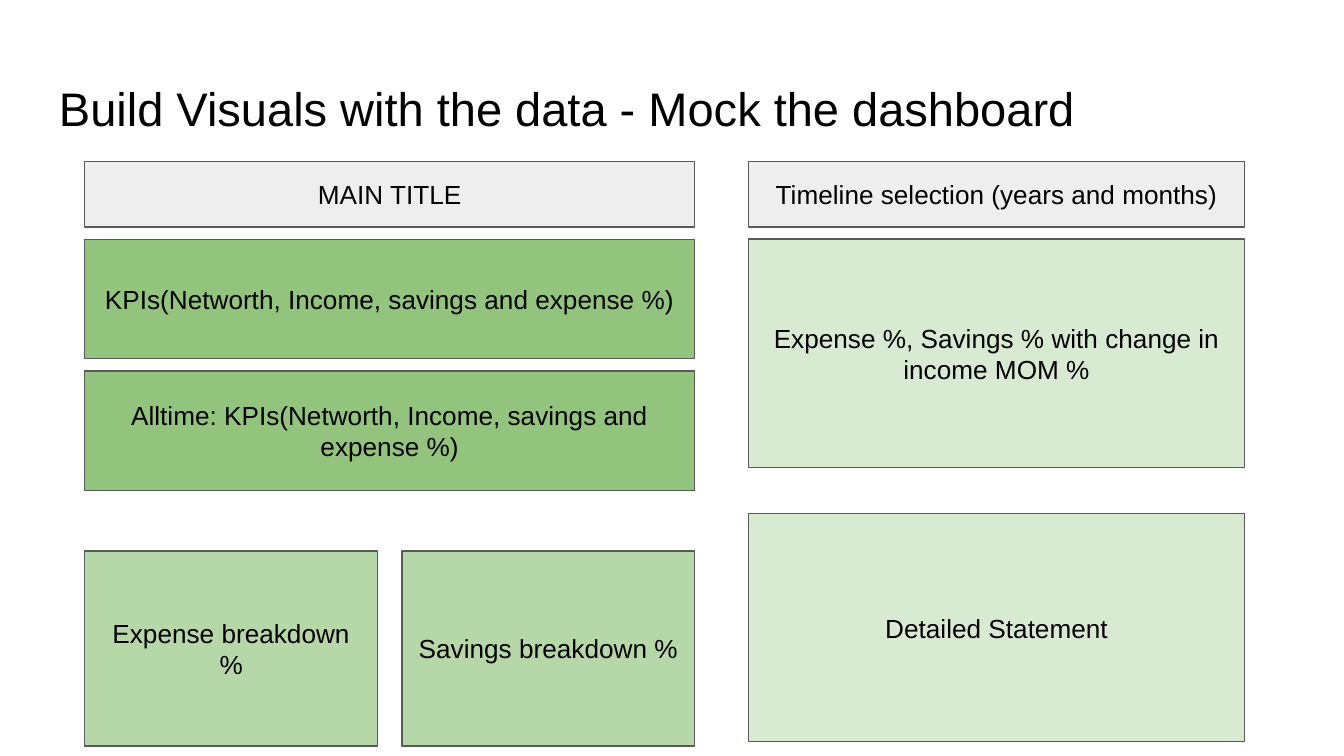
from dataclasses import dataclass

from pptx import Presentation
from pptx.dml.color import RGBColor
from pptx.enum.shapes import MSO_SHAPE as Preset
from pptx.enum.text import MSO_ANCHOR as Anchor, PP_ALIGN as Align
from pptx.slide import Slide
from pptx.text.text import TextFrame
from pptx.util import Inches, Pt


@dataclass(frozen=True)
class Theme:
    font: str = "Arial"
    ink: str = "000000"
    outline: str = "595959"
    header: str = "EEEEEE"
    kpi: str = "93C47D"
    breakdown: str = "B6D7A8"
    detail: str = "D9EAD3"
    title_size: float = 25.2
    panel_size: float = 14
    outline_width: float = 0.75
    inset: float = 0.1


@dataclass(frozen=True)
class Panel:
    label: str
    left: float
    top: float
    width: float
    height: float
    fill: str


THEME = Theme()


def write(frame: TextFrame, text: str, size: float, align: Align, anchor: Anchor) -> None:
    frame.word_wrap = True
    frame.vertical_anchor = anchor
    frame.margin_left = frame.margin_right = Inches(THEME.inset)
    frame.margin_top = frame.margin_bottom = Inches(THEME.inset)
    paragraph = frame.paragraphs[0]
    paragraph.alignment = align
    run = paragraph.add_run()
    run.text = text
    run.font.name = THEME.font
    run.font.size = Pt(size)
    run.font.color.rgb = RGBColor.from_string(THEME.ink)


def draw_title(slide: Slide, text: str) -> None:
    title = slide.shapes.add_textbox(Inches(0.34), Inches(0.49), Inches(9.32), Inches(0.63))
    write(title.text_frame, text, THEME.title_size, Align.LEFT, Anchor.TOP)


def draw_panel(slide: Slide, panel: Panel) -> None:
    box = slide.shapes.add_shape(
        Preset.RECTANGLE,
        Inches(panel.left), Inches(panel.top), Inches(panel.width), Inches(panel.height),
    )
    box.shadow.inherit = False
    box.fill.solid()
    box.fill.fore_color.rgb = RGBColor.from_string(panel.fill)
    box.line.color.rgb = RGBColor.from_string(THEME.outline)
    box.line.width = Pt(THEME.outline_width)
    write(box.text_frame, panel.label, THEME.panel_size, Align.CENTER, Anchor.MIDDLE)


def dashboard_panels() -> list[Panel]:
    left, left_width = 0.63, 4.54
    right, right_width = 5.57, 3.69
    header_top, header_height = 1.2, 0.49
    row_gap = 0.09
    body_top = header_top + header_height + row_gap
    kpi_height = 0.89
    breakdown_top, breakdown_height, breakdown_gap = 4.1, 1.45, 0.18
    half = (left_width - breakdown_gap) / 2
    detail_height, detail_gap = 1.7, 0.34

    panels = [
        Panel("MAIN TITLE", left, header_top, left_width, header_height, THEME.header),
        Panel("Timeline selection (years and months)",
              right, header_top, right_width, header_height, THEME.header),
    ]
    kpis = ["KPIs(Networth, Income, savings and expense %)",
            "Alltime: KPIs(Networth, Income, savings and expense %)"]
    breakdowns = ["Expense breakdown %", "Savings breakdown %"]
    details = ["Expense %, Savings % with change in income MOM %", "Detailed Statement"]
    for row, label in enumerate(kpis):
        top = body_top + row * (kpi_height + row_gap)
        panels.append(Panel(label, left, top, left_width, kpi_height, THEME.kpi))
    for column, label in enumerate(breakdowns):
        start = left + column * (half + breakdown_gap)
        panels.append(Panel(label, start, breakdown_top, half, breakdown_height, THEME.breakdown))
    for row, label in enumerate(details):
        top = body_top + row * (detail_height + detail_gap)
        panels.append(Panel(label, right, top, right_width, detail_height, THEME.detail))
    return panels


def main() -> None:
    deck = Presentation()
    deck.slide_width = Inches(10)
    deck.slide_height = Inches(10 * 9 / 16)
    slide = deck.slides.add_slide(deck.slide_layouts[6])
    draw_title(slide, "Build Visuals with the data - Mock the dashboard")
    for panel in dashboard_panels():
        draw_panel(slide, panel)
    deck.save("out.pptx")


if __name__ == "__main__":
    main()
